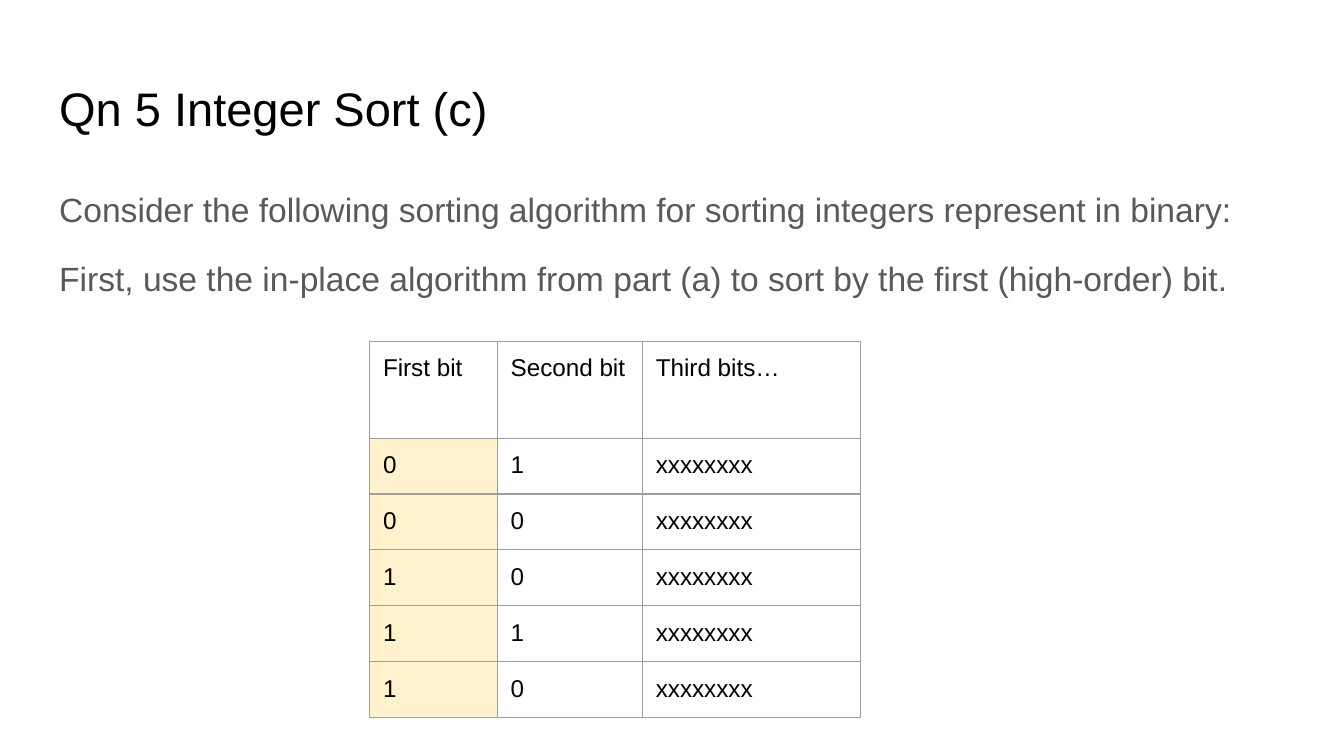
import pptx
import pptx.dml.color
import pptx.enum.text
import pptx.oxml.ns
import pptx.util
from lxml import etree
from pptx.util import Inches, Pt

FONT = "Arial"
COLORS = {
    "title": "000000",
    "body": "595959",
    "cell": "000000",
    "sorted_bit": "FFF2CC",
    "border": "9E9E9E",
}
BODY_LINES = [
    "Consider the following sorting algorithm for sorting integers represent in binary:",
    "First, use the in-place algorithm from part (a) to sort by the ﬁrst (high-order) bit.",
]
HEADER = ["First bit", "Second bit", "Third bits…"]
BITS = ["01", "00", "10", "11", "10"]
COLUMN_WIDTHS = [0.95, 1.08, 1.62]
TABLE_HEIGHT, HEADER_HEIGHT = 2.8, 0.72
ROW_HEIGHT = (TABLE_HEIGHT - HEADER_HEIGHT) / len(BITS)


def rgb(name):
    return pptx.dml.color.RGBColor.from_string(COLORS[name])


def add_element(parent, tag, **attributes):
    return etree.SubElement(parent, pptx.oxml.ns.qn(tag), **attributes)


def style_paragraph(paragraph, size, color):
    paragraph.alignment = pptx.enum.text.PP_ALIGN.LEFT
    paragraph.font.name = FONT
    paragraph.font.size = Pt(size)
    paragraph.font.color.rgb = rgb(color)


def set_margins(box):
    for side in ("left", "top", "right", "bottom"):
        setattr(box, f"margin_{side}", Inches(0.1))


def place_placeholder(shape, left, top, width, height, anchor):
    shape.left, shape.top = Inches(left), Inches(top)
    shape.width, shape.height = Inches(width), Inches(height)
    frame = shape.text_frame
    set_margins(frame)
    frame.word_wrap = True
    frame.auto_size = pptx.enum.text.MSO_AUTO_SIZE.NONE
    frame.vertical_anchor = anchor
    return frame


def fill_title(shape):
    frame = place_placeholder(shape, 0.34, 0.49, 9.32, 0.63,
                              pptx.enum.text.MSO_ANCHOR.MIDDLE)
    frame.text = "Qn 5 Integer Sort (c)"
    style_paragraph(frame.paragraphs[0], 25.2, "title")


def fill_body(shape):
    frame = place_placeholder(shape, 0.34, 1.26, 9.32, 4.27,
                              pptx.enum.text.MSO_ANCHOR.TOP)
    frame.text = "\n".join(BODY_LINES)
    for index, paragraph in enumerate(frame.paragraphs):
        properties = paragraph._p.get_or_add_pPr()
        properties.set("marL", "0")
        properties.set("indent", "0")
        add_element(properties, "a:buNone")
        paragraph.line_spacing = 1.15
        paragraph.space_before = Pt(12 if index else 0)
        style_paragraph(paragraph, 18, "body")


def add_borders(cell):
    properties = cell._tc.get_or_add_tcPr()
    for side in ("a:lnL", "a:lnR", "a:lnT", "a:lnB"):
        line = add_element(properties, side, w=str(Pt(0.75)))
        fill = add_element(line, "a:solidFill")
        add_element(fill, "a:srgbClr", val=COLORS["border"])


def format_cell(cell, text, highlighted):
    cell.text = text
    set_margins(cell)
    style_paragraph(cell.text_frame.paragraphs[0], 13, "cell")
    add_borders(cell)
    if highlighted:
        cell.fill.solid()
        cell.fill.fore_color.rgb = rgb("sorted_bit")
    else:
        cell.fill.background()


def add_bit_table(slide):
    rows = [HEADER] + [[first, second, "xxxxxxxx"] for first, second in BITS]
    table = slide.shapes.add_table(
        len(rows), len(HEADER), Inches(2.75), Inches(2.54),
        Inches(sum(COLUMN_WIDTHS)), Inches(TABLE_HEIGHT)).table
    table.first_row = False
    table.horz_banding = False
    for column, width in zip(table.columns, COLUMN_WIDTHS):
        column.width = Inches(width)
    for row_index, texts in enumerate(rows):
        table.rows[row_index].height = Inches(ROW_HEIGHT if row_index else HEADER_HEIGHT)
        for column_index, text in enumerate(texts):
            highlighted = row_index > 0 and column_index == 0
            format_cell(table.cell(row_index, column_index), text, highlighted)


def main():
    presentation = pptx.Presentation()
    presentation.slide_width = Inches(10)
    presentation.slide_height = presentation.slide_width * 9 // 16
    slide = presentation.slides.add_slide(presentation.slide_layouts[1])
    fill_title(slide.shapes.title)
    fill_body(slide.placeholders[1])
    add_bit_table(slide)
    presentation.save("out.pptx")


if __name__ == "__main__":
    main()
